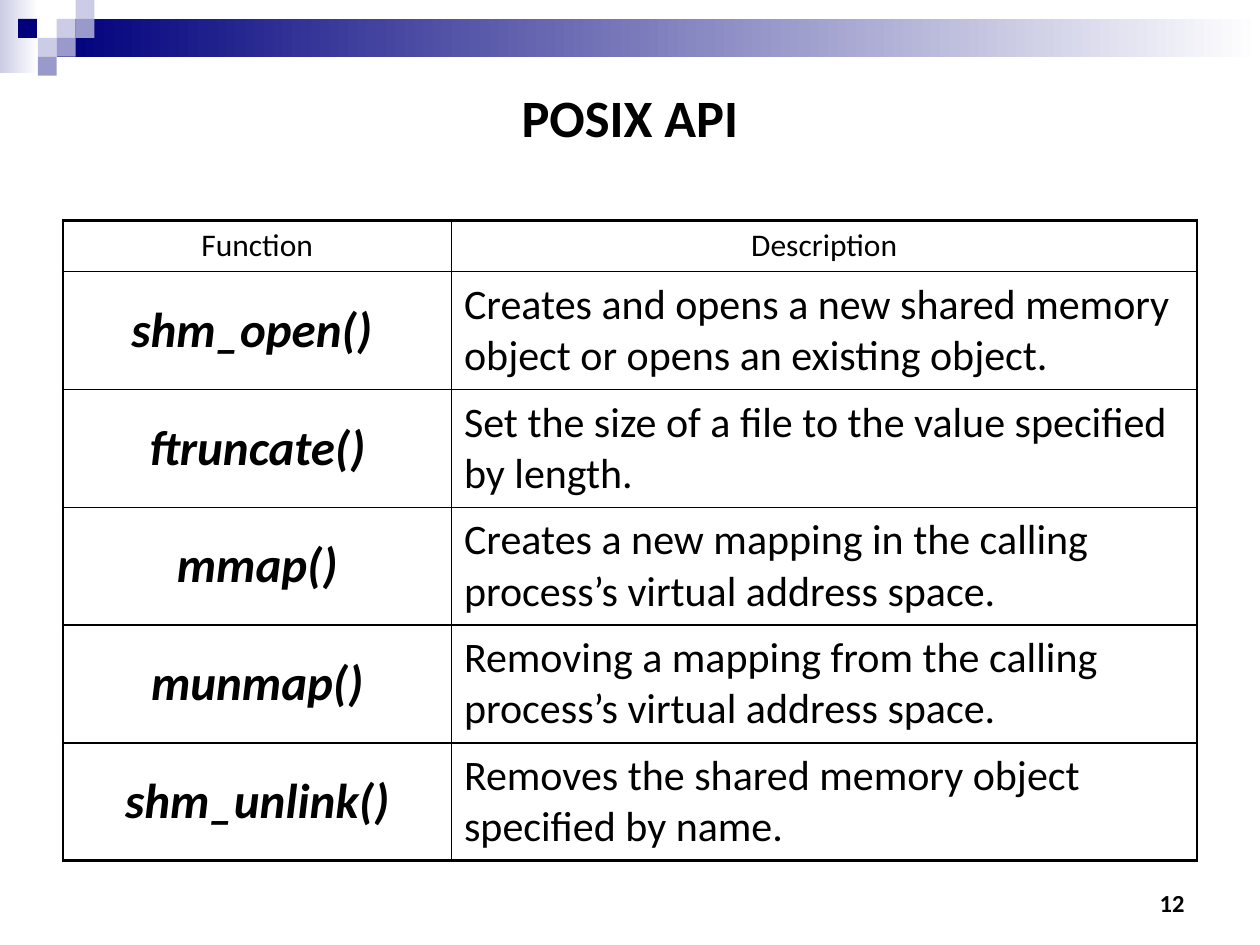
from lxml import etree
from pptx import Presentation
from pptx.dml.color import RGBColor
from pptx.enum.shapes import MSO_SHAPE
from pptx.enum.text import MSO_ANCHOR, PP_ALIGN
from pptx.oxml import parse_xml
from pptx.oxml.ns import nsdecls
from pptx.util import Pt

COLORS = {
    "navy": "00007D",
    "violet": "9999CC",
    "lavender": "CCCCE6",
    "white": "FFFFFF",
    "black": "000000",
}

deck = Presentation()
deck.slide_width, deck.slide_height = Pt(720), Pt(540)
page = deck.slides.add_slide(deck.slide_layouts[6])


def add_block(left, top, width, height, color, fades=False):
    """Add a borderless rectangle, optionally fading to white on the right."""
    block = page.shapes.add_shape(
        MSO_SHAPE.RECTANGLE, Pt(left), Pt(top), Pt(width), Pt(height))
    block.shadow.inherit = False
    block.line.fill.background()
    if fades:
        block.fill.gradient()
        block.fill.gradient_angle = 0
        for stop, name in zip(block.fill.gradient_stops, (color, "white")):
            stop.color.rgb = RGBColor.from_string(COLORS[name])
    else:
        block.fill.solid()
        block.fill.fore_color.rgb = RGBColor.from_string(COLORS[color])


def write(frame, text, align, **font_format):
    frame.text = text
    frame.word_wrap = True
    for para in frame.paragraphs:
        para.alignment = align
        para.font.color.rgb = RGBColor.from_string(COLORS["black"])
        for span in para.runs:
            span.font.color.rgb = RGBColor.from_string(COLORS["black"])
            for name, value in {"name": "Calibri", **font_format}.items():
                setattr(span.font, name, value)


# Header band and its mosaic of squares
add_block(0, 0, 22, 42, "lavender", fades=True)
add_block(32.4, 10.8, 687.6, 21.6, "navy", fades=True)
SQUARE = 10.8
for left, row, color in [
    (32.4, 1, "lavender"), (43.2, 0, "lavender"), (43.2, 1, "violet"),
    (21.6, 2, "lavender"), (10.3, 1, "navy"), (32.4, 2, "violet"),
    (21.6, 3, "violet"),
]:
    add_block(left, row * SQUARE, SQUARE, SQUARE, color)

# Title and page number
for text, place, anchor, align, size in [
    ("POSIX API", (36, 21.6, 648, 90), MSO_ANCHOR.MIDDLE, PP_ALIGN.CENTER, 30),
    ("12", (516, 492, 168, 36), MSO_ANCHOR.BOTTOM, PP_ALIGN.RIGHT, 14),
]:
    box = page.shapes.add_textbox(*map(Pt, place))
    box.text_frame.vertical_anchor = anchor
    write(box.text_frame, text, align, size=Pt(size), bold=True)

# Function table
ROWS = [
    ("Function", "Description"),
    ("shm_open() ",
     "Creates and opens a new shared memory object or opens an existing object."),
    ("ftruncate()",
     "Set the size of a file to the value specified\nby length."),
    ("mmap()",
     "Creates a new mapping in the calling process’s virtual address space."),
    ("munmap()",
     "Removing a mapping from the calling process’s virtual address space."),
    ("shm_unlink()",
     "Removes the shared memory object specified by name."),
]
HEADER_FORMAT = {"size": Pt(18), "bold": False}
FUNCTION_FORMAT = {"size": Pt(28), "bold": True, "italic": True}
DESCRIPTION_FORMAT = {"size": Pt(24), "bold": False}

table = page.shapes.add_table(
    len(ROWS), 2, Pt(36), Pt(126), Pt(648), Pt(366)).table
table.first_row = table.horz_banding = False
for column, width in zip(table.columns, (222, 426)):
    column.width = Pt(width)

last_row = len(ROWS) - 1
for r, texts in enumerate(ROWS):
    table.rows[r].height = Pt(67.3 if r else 29.3)
    for c, text in enumerate(texts):
        cell = table.cell(r, c)
        cell.vertical_anchor = MSO_ANCHOR.MIDDLE
        cell.fill.background()
        if r == 0:
            align, font_format = PP_ALIGN.CENTER, HEADER_FORMAT
        elif c == 0:
            align, font_format = PP_ALIGN.CENTER, FUNCTION_FORMAT
        else:
            align, font_format = PP_ALIGN.LEFT, DESCRIPTION_FORMAT
        write(cell.text_frame, text, align, **font_format)

        properties = cell._tc.get_or_add_tcPr()
        outer_edges = {"lnL": c == 0, "lnR": c == 1,
                       "lnT": r == 0, "lnB": r == last_row}
        for position, (edge, is_outer) in enumerate(outer_edges.items()):
            border = parse_xml(f'<a:{edge} {nsdecls("a")}/>')
            border.set("w", str(int(Pt(1.5 if is_outer else 1))))
            fill = etree.SubElement(border, border.tag.replace(edge, "solidFill"))
            color = etree.SubElement(fill, border.tag.replace(edge, "srgbClr"))
            color.set("val", COLORS["black"])
            properties.insert(position, border)

deck.save("out.pptx")
